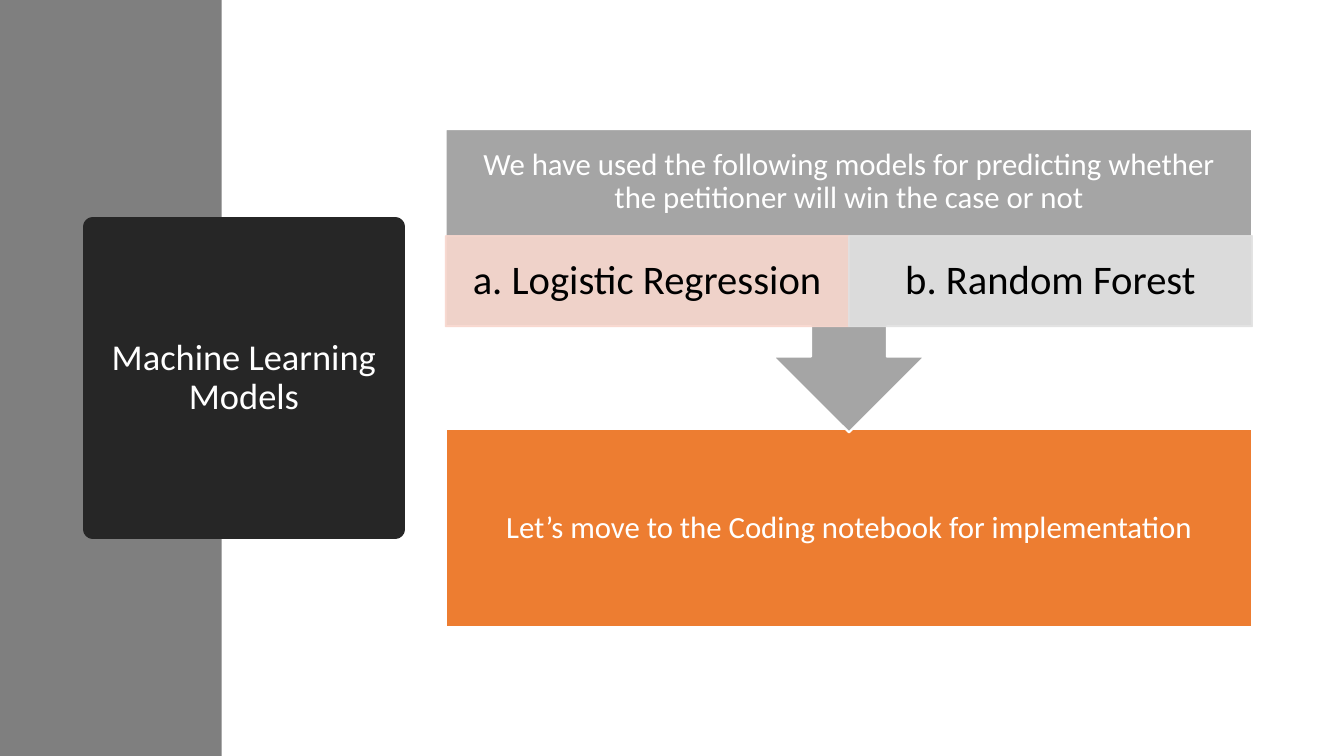
from lxml import etree
from pptx import Presentation
from pptx.dml.color import RGBColor
from pptx.enum import shapes, text
from pptx.oxml.ns import qn
from pptx.util import Inches, Pt

# Content
TITLE = "Machine Learning Models"
INTRO = "We have used the following models for predicting whether the petitioner will win the case or not"
MODELS = [("a. Logistic Regression", "rose"), ("b. Random Forest", "silver")]
NEXT_STEP = "Let’s move to the Coding notebook for implementation"

COLOURS = {
    "band": "7F7F7F", "title": "262626", "callout": "A5A5A5", "next": "ED7D31",
    "rose": "F8D7CE", "silver": "E1E1E1", "white": "FFFFFF", "black": "000000",
}
FONT = "Calibri"

# Layout in inches
LEFT, WIDTH = 4.42, 8
CALLOUT_TOP, CALLOUT_HEIGHT, INTRO_HEIGHT = 1.28, 3.01, 1.06
MODEL_TOP, MODEL_HEIGHT = CALLOUT_TOP + INTRO_HEIGHT, 0.9
NEXT_TOP, NEXT_HEIGHT = 4.26, 1.96


def colour(name):
    return RGBColor.from_string(COLOURS[name])


def paint(shape, fill, line=None, line_width=0):
    shape.fill.solid()
    shape.fill.fore_color.rgb = colour(fill)
    if line:
        shape.line.color.rgb = colour(line)
        shape.line.width = Pt(line_width)
    else:
        shape.line.fill.background()


def add_block(kind, left, top, width, height, *style):
    shape = page.shapes.add_shape(kind, *map(Inches, (left, top, width, height)))
    shape.shadow.inherit = False
    paint(shape, *style)
    return shape


def write(shape, words, size, ink="white", side=0.17, edge=0.17):
    frame = shape.text_frame
    frame.text = words
    frame.word_wrap = True
    frame.auto_size = text.MSO_AUTO_SIZE.NONE
    frame.vertical_anchor = text.MSO_ANCHOR.MIDDLE
    frame.margin_left = frame.margin_right = Inches(side)
    frame.margin_top = frame.margin_bottom = Inches(edge)
    para = frame.paragraphs[0]
    para.alignment = text.PP_ALIGN.CENTER
    para.line_spacing = 0.9
    font = para.runs[0].font
    font.name, font.size, font.color.rgb = FONT, Pt(size), colour(ink)


def set_opacity(shape, percent):
    for value in shape._element.spPr.iter(qn("a:srgbClr")):
        etree.SubElement(value, qn("a:alpha"), val=str(percent * 1000))


deck = Presentation()
deck.slide_width, deck.slide_height = Inches(13.33), Inches(7.5)
page = deck.slides.add_slide(deck.slide_layouts[5])
RECTANGLE = shapes.MSO_SHAPE.RECTANGLE

# Side band, placed behind the title
band = add_block(RECTANGLE, 0, 0, 2.2, 7.5, "band")
page.shapes._spTree.insert(2, band._element)

# Title square; its thick outline rounds the corners
title = page.shapes.title
title.left, title.top = Inches(0.92), Inches(2.25)
title.width = title.height = Inches(3)
paint(title, "title", "title", 13.75)
write(title, TITLE, 26, side=0.1, edge=0.05)

# Next step
next_box = add_block(RECTANGLE, LEFT, NEXT_TOP, WIDTH, NEXT_HEIGHT, "next", "white", 1.5)
write(next_box, NEXT_STEP, 22)

# Callout pointing down, with its introduction on top
callout = add_block(shapes.MSO_SHAPE.UP_ARROW_CALLOUT, LEFT, CALLOUT_TOP, WIDTH,
                    CALLOUT_HEIGHT, "callout", "white", 1.5)
callout.rotation = 180
intro = page.shapes.add_textbox(*map(Inches, (LEFT, CALLOUT_TOP, WIDTH, INTRO_HEIGHT)))
write(intro, INTRO, 22)

# Models side by side
model_width = WIDTH / len(MODELS)
for index, (name, tint) in enumerate(MODELS):
    model = add_block(RECTANGLE, LEFT + index * model_width, MODEL_TOP, model_width,
                      MODEL_HEIGHT, tint, tint, 1)
    set_opacity(model, 90)
    write(model, name, 29, "black", side=0.23, edge=0.04)

deck.save("out.pptx")
